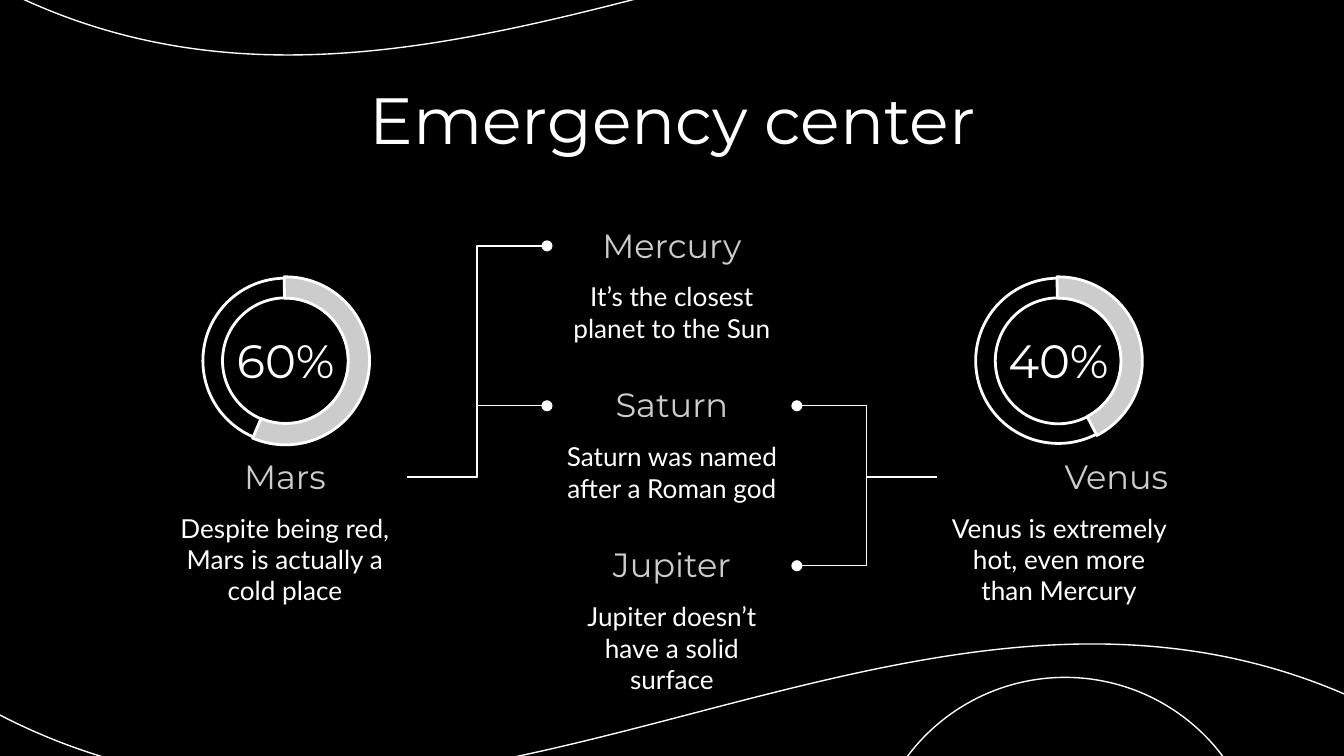
from dataclasses import dataclass

from lxml.etree import SubElement
from pptx import Presentation
from pptx.dml.color import RGBColor
from pptx.enum.shapes import MSO_CONNECTOR, MSO_SHAPE
from pptx.enum.text import MSO_ANCHOR, PP_ALIGN
from pptx.oxml.ns import qn
from pptx.util import Inches, Pt


@dataclass(frozen=True)
class Theme:
    black: RGBColor = RGBColor(0x00, 0x00, 0x00)
    white: RGBColor = RGBColor(0xFF, 0xFF, 0xFF)
    grey: RGBColor = RGBColor(0xCC, 0xCC, 0xCC)
    heading_font: str = "Montserrat"
    body_font: str = "Lato"
    title: int = 35
    percent: int = 25
    heading: int = 18
    body: int = 14
    thin: float = 0.75
    thick: float = 1.5


theme = Theme()
prs = Presentation()
# Widescreen, 16:9
prs.slide_width = Inches(10)
prs.slide_height = Inches(10 * 9 / 16)
slide = prs.slides.add_slide(prs.slide_layouts[6])
slide.background.fill.solid()
slide.background.fill.fore_color.rgb = theme.black


def add_outlined(kind, left, top, width, height, fill, weight, adjustments=(), flip=False):
    shape = slide.shapes.add_shape(kind, Inches(left), Inches(top), Inches(width), Inches(height))
    shape.shadow.inherit = False
    if fill is None:
        shape.fill.background()
    else:
        shape.fill.solid()
        shape.fill.fore_color.rgb = fill
    shape.line.color.rgb = theme.white
    shape.line.width = Pt(weight)
    for index, value in enumerate(adjustments):
        shape.adjustments[index] = value
    if flip:
        shape._element.spPr.find(qn("a:xfrm")).set("flipH", "1")
    return shape


def add_text(text, left, top, width, height, size, font, color,
             anchor=MSO_ANCHOR.TOP, align=PP_ALIGN.CENTER):
    box = slide.shapes.add_textbox(Inches(left), Inches(top), Inches(width), Inches(height))
    frame = box.text_frame
    frame.text = text
    frame.word_wrap = True
    frame.vertical_anchor = anchor
    frame.margin_left = frame.margin_right = Inches(0.1)
    frame.margin_top = frame.margin_bottom = Inches(0.1)
    paragraph = frame.paragraphs[0]
    paragraph.alignment = align
    run_font = paragraph.runs[0].font
    run_font.size, run_font.name, run_font.color.rgb = Pt(size), font, color
    return box


# Background curves
wave = add_outlined(MSO_SHAPE.WAVE, -0.04, -0.65, 10.35, 6.5, theme.black, theme.thin,
                    (0.083, -0.001), flip=True)
wave.rotation = 180
circle = add_outlined(MSO_SHAPE.OVAL, 6.46, 5.04, 2.93, 2.93, theme.black, theme.thin, flip=True)
circle.rotation = 180

# Title
add_text("Emergency center", 0.79, 0.49, 8.43, 0.63,
         theme.title, theme.heading_font, theme.white)

# Percentage rings: left edge, label, start angle of the filled arc
for left, percent, start in ((1.5, "60%", 40.17), (7.25, "40%", 70.38)):
    add_outlined(MSO_SHAPE.DONUT, left + 0.01, 2.07, 1.23, 1.23, None, theme.thick, (0.119,))
    add_outlined(MSO_SHAPE.BLOCK_ARC, left, 2.06, 1.25, 1.25, theme.grey, theme.thick,
                 (start, 162.57, 0.127), flip=True)
    add_text(percent, left + 0.1, 2.44, 1.05, 0.48, theme.percent, theme.heading_font,
             theme.white, MSO_ANCHOR.MIDDLE)

# Planets: a heading with its description underneath
side_top, side_width, side_height = 3.31, 1.82, 0.85
middle_left, middle_top, middle_width, middle_height, middle_step = 4.07, 1.59, 1.86, 0.67, 1.19
planets = [
    ("Mars", "Despite being red, Mars is actually a cold place",
     1.21, side_top, side_width, side_height, PP_ALIGN.CENTER),
    ("Venus", "Venus is extremely hot, even more than Mercury",
     6.97, side_top, side_width, side_height, PP_ALIGN.RIGHT),
]
for row, (name, description) in enumerate((
    ("Mercury", "It’s the closest planet to the Sun"),
    ("Saturn", "Saturn was named after a Roman god"),
    ("Jupiter", "Jupiter doesn’t have a solid surface"),
)):
    planets.append((name, description, middle_left, middle_top + row * middle_step,
                    middle_width, middle_height, PP_ALIGN.CENTER))

headings = {}
for name, description, left, top, width, height, align in planets:
    add_text(description, left, top + 0.4, width, height,
             theme.body, theme.body_font, theme.white)
    headings[name] = add_text(name, left, top, width, 0.48, theme.heading, theme.heading_font,
                              theme.grey, MSO_ANCHOR.BOTTOM, align)

# Branches from the side planets to the middle ones, ending in a dot
left_side, right_side = 1, 3
for source, target, source_side, target_side in (
    ("Mars", "Mercury", right_side, left_side),
    ("Mars", "Saturn", right_side, left_side),
    ("Venus", "Jupiter", left_side, right_side),
    ("Venus", "Saturn", left_side, right_side),
):
    branch = slide.shapes.add_connector(MSO_CONNECTOR.ELBOW, 0, 0, 0, 0)
    branch.begin_connect(headings[source], source_side)
    branch.end_connect(headings[target], target_side)
    branch.line.color.rgb = theme.white
    branch.line.width = Pt(theme.thin)
    SubElement(branch.line._get_or_add_ln(), qn("a:tailEnd"), type="oval")
    SubElement(branch._element.spPr, qn("a:effectLst"))

prs.save("out.pptx")
